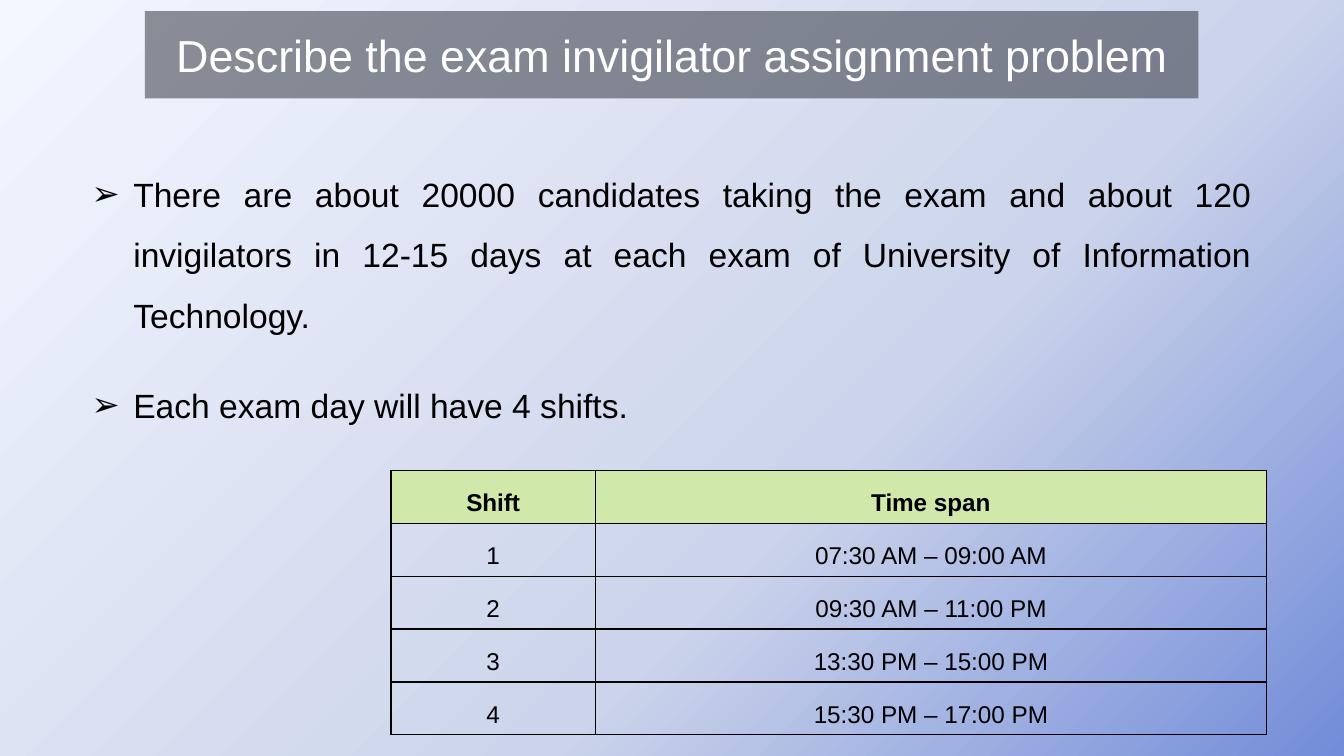
from dataclasses import dataclass

from lxml import etree
from pptx import Presentation
from pptx.dml.color import RGBColor
from pptx.enum.text import MSO_ANCHOR, MSO_AUTO_SIZE, PP_ALIGN
from pptx.oxml.ns import qn
from pptx.util import Cm, Pt

CENTER, JUSTIFY = PP_ALIGN.CENTER, PP_ALIGN.JUSTIFY
MIDDLE, TOP = MSO_ANCHOR.MIDDLE, MSO_ANCHOR.TOP
NO_AUTOFIT = MSO_AUTO_SIZE.NONE


@dataclass(frozen=True)
class Theme:
    font: str = "Arial"
    text: str = "000000"
    title_text: str = "FFFFFF"
    title_fill: str = "252831"
    header_fill: str = "D0E8AA"
    background: tuple = ((0, "F4F7FF"), (62, "CCD4EB"), (100, "728CD8"))
    title_size: int = 24
    body_size: int = 18
    table_size: int = 13


theme = Theme()


def add_element(parent, tag, **attributes):
    return etree.SubElement(parent, qn(tag), attributes)


def write_text(paragraph, text, size, color, alignment, bold=False, spaced=True):
    paragraph.alignment = alignment
    paragraph.line_spacing = 1.5 if spaced else 1.0
    paragraph.space_before = paragraph.space_after = Pt(8 if spaced else 0)
    run = paragraph.add_run()
    run.text = text
    run.font.name = theme.font
    run.font.size = Pt(size)
    run.font.bold = bold
    run.font.color.rgb = RGBColor.from_string(color)


presentation = Presentation()
presentation.slide_width, presentation.slide_height = Cm(25.4), Cm(14.29)
slide = presentation.slides.add_slide(presentation.slide_layouts[1])

slide.background.fill.gradient()
gradient = slide.element.find(".//" + qn("a:gradFill"))
for child in list(gradient):
    gradient.remove(child)
stops = add_element(gradient, "a:gsLst")
for position, color in theme.background:
    stop = add_element(stops, "a:gs", pos=str(position * 1000))
    add_element(stop, "a:srgbClr", val=color)
circle = add_element(gradient, "a:path", path="circle")
add_element(circle, "a:fillToRect", r="100000", b="100000")

title = slide.shapes.title
title.left, title.top, title.width, title.height = Cm(2.74), Cm(0.21), Cm(19.91), Cm(1.65)
title.fill.solid()
title.fill.fore_color.rgb = RGBColor.from_string(theme.title_fill)
add_element(title.element.spPr.find(".//" + qn("a:srgbClr")), "a:alpha", val="50000")
title.text_frame.auto_size = NO_AUTOFIT
title.text_frame.vertical_anchor = MIDDLE
write_text(title.text_frame.paragraphs[0], "Describe the exam invigilator assignment problem",
           theme.title_size, theme.title_text, CENTER, spaced=False)

facts = [
    "There are about 20000 candidates taking the exam and about 120 invigilators "
    "in 12-15 days at each exam of University of Information Technology.",
    "Each exam day will have 4 shifts.",
]
body = slide.placeholders[1]
body.left, body.top, body.width, body.height = Cm(1.73), Cm(2.9), Cm(21.92), Cm(8.48)
frame = body.text_frame
frame.auto_size = NO_AUTOFIT
frame.vertical_anchor = TOP
frame.margin_left = frame.margin_right = frame.margin_top = frame.margin_bottom = 0
for index, fact in enumerate(facts):
    paragraph = frame.add_paragraph() if index else frame.paragraphs[0]
    write_text(paragraph, fact, theme.body_size, theme.text, JUSTIFY)
    properties = paragraph._p.get_or_add_pPr()
    properties.set("marL", str(Cm(0.79)))
    properties.set("indent", str(-Cm(0.79)))
    add_element(add_element(properties, "a:buClr"), "a:srgbClr", val=theme.text)
    add_element(properties, "a:buFont", typeface=theme.font)
    add_element(properties, "a:buChar", char="➢")

shifts = [
    ("Shift", "Time span"),
    ("1", "07:30 AM – 09:00 AM"),
    ("2", "09:30 AM – 11:00 PM"),
    ("3", "13:30 PM – 15:00 PM"),
    ("4", "15:30 PM – 17:00 PM"),
]
table = slide.shapes.add_table(len(shifts), 2, Cm(7.39), Cm(8.89), Cm(16.54), Cm(5)).table
table.first_row = table.horz_banding = False
table.columns[0].width, table.columns[1].width = Cm(3.86), Cm(12.68)
for row_index, shift in enumerate(shifts):
    is_header = row_index == 0
    for column_index, text in enumerate(shift):
        cell = table.cell(row_index, column_index)
        cell.vertical_anchor = MIDDLE
        cell.margin_left = cell.margin_right = Cm(0.18)
        cell.margin_top = cell.margin_bottom = 0
        write_text(cell.text_frame.paragraphs[0], text, theme.table_size, theme.text,
                   CENTER, bold=is_header)
        cell_properties = cell._tc.get_or_add_tcPr()
        for side in ("L", "R", "T", "B"):
            border = add_element(cell_properties, f"a:ln{side}", w=str(Pt(0.75)))
            add_element(add_element(border, "a:solidFill"), "a:srgbClr", val=theme.text)
        if is_header:
            cell.fill.solid()
            cell.fill.fore_color.rgb = RGBColor.from_string(theme.header_fill)
        else:
            cell.fill.background()

presentation.save("out.pptx")
